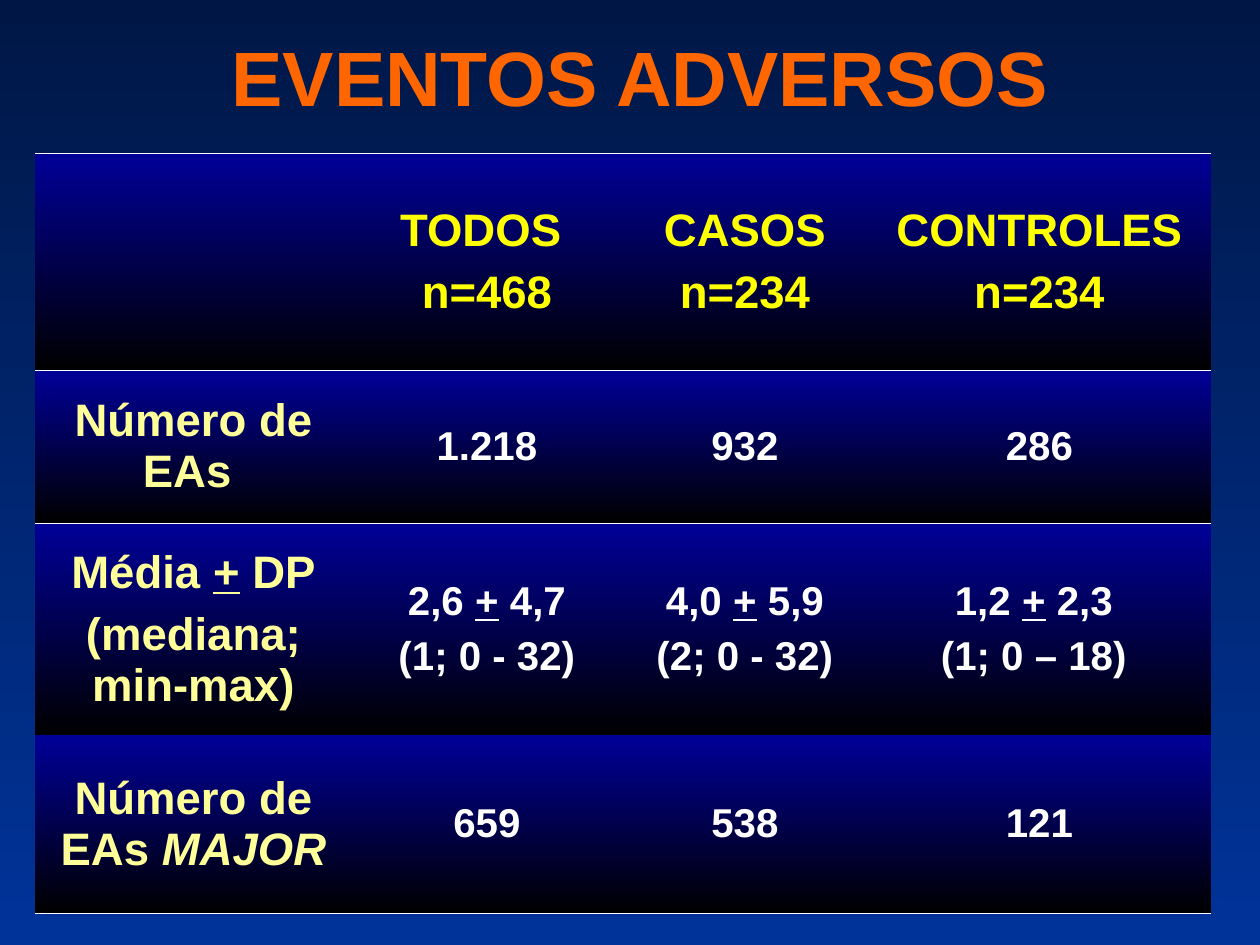
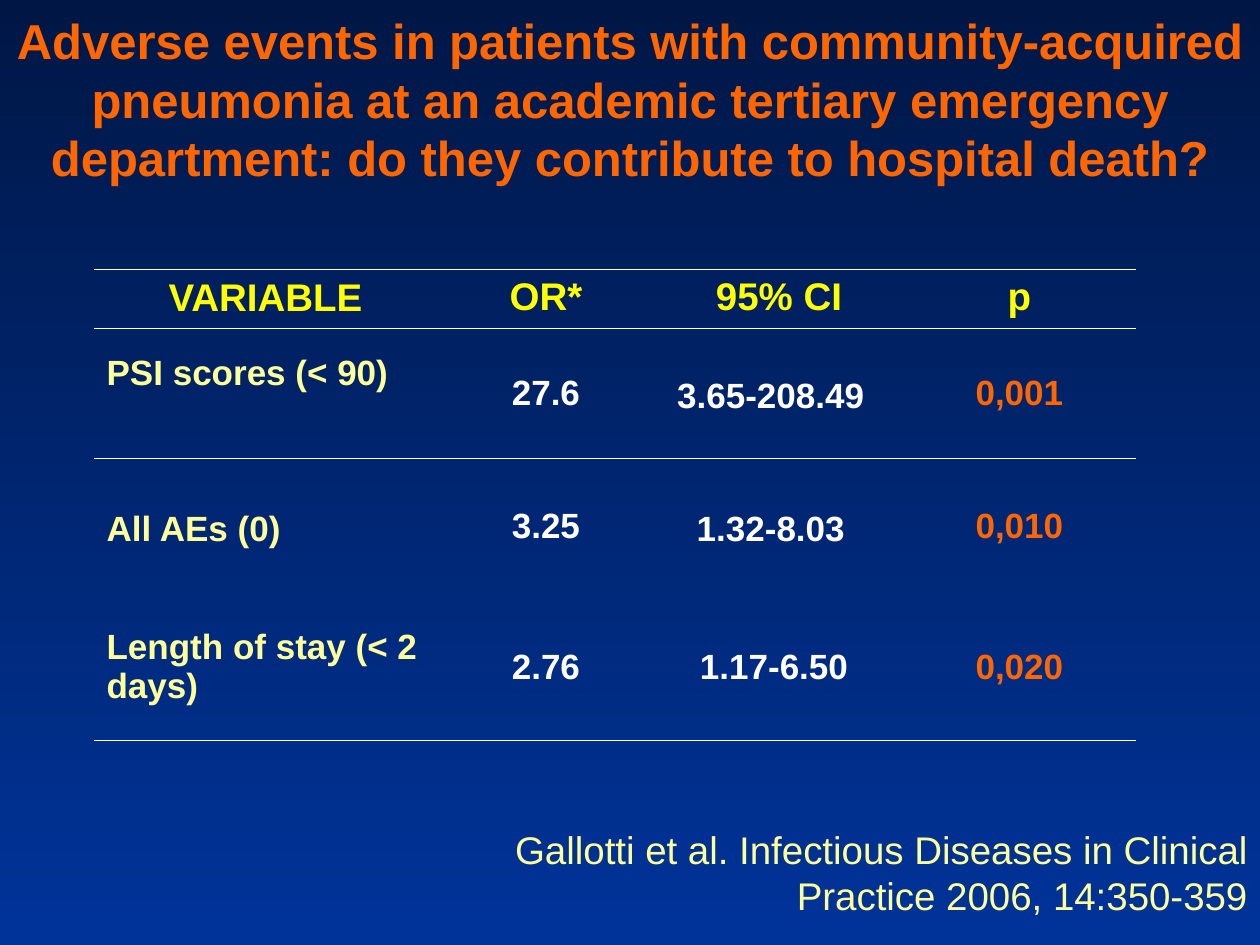
import pptx
import pptx.util
import pptx.dml.color
import pptx.enum.text
import pptx.oxml
import pptx.oxml.ns
from dataclasses import dataclass

ALIGN = pptx.enum.text.PP_ALIGN
ANCHOR = pptx.enum.text.MSO_ANCHOR
PLAIN = "{2D5ABB26-0587-4C30-8999-92F81FD0307C}"


@dataclass(frozen=True)
class Theme:
    font: str = "Arial"
    alt: str = "Comic Neue"
    night: str = "001746"
    blue: str = "003399"
    navy: str = "000099"
    black: str = "000000"
    white: str = "FFFFFF"
    orange: str = "FF6600"
    yellow: str = "FFFF00"
    cream: str = "FFFF99"
    banner: int = 44
    title: int = 28
    label: int = 26
    value: int = 23
    head: int = 22
    small: int = 20
    rule: float = 0.45


def px(count):
    return round(count * 914400 / 126)


def rgb(code):
    return pptx.dml.color.RGBColor.from_string(code)


class Deck:
    def __init__(self, theme):
        self.theme = theme
        self.show = pptx.Presentation()
        self.show.slide_width = px(1260)
        self.show.slide_height = px(945)
        self.slide = None

    def page(self):
        self.slide = self.show.slides.add_slide(self.show.slide_layouts[6])
        self.fade(self.slide.background.fill, self.theme.night, self.theme.blue)

    def fade(self, fill, top, base):
        fill.gradient()
        fill.gradient_angle = 270
        for stop, code in zip(fill.gradient_stops, (top, base)):
            stop.color.rgb = rgb(code)

    def lines(self, frame, paras, size, color, align=ALIGN.CENTER, bold=True):
        for index, runs in enumerate(paras):
            para = frame.add_paragraph() if index else frame.paragraphs[0]
            para.alignment = align
            if index:
                para.space_before = pptx.util.Pt(size / 4)
            font = para.font
            font.name = self.theme.font
            font.size = pptx.util.Pt(size)
            font.bold = bold
            font.color.rgb = rgb(color)
            for part in [runs] if isinstance(runs, str) else runs:
                text, style = (part, "") if isinstance(part, str) else part
                run = para.add_run()
                run.text = text
                if style == "under":
                    run.font.underline = True
                elif style == "slant":
                    run.font.italic = True
                elif style == "tall":
                    run.font.name = self.theme.alt
                    run.font.size = pptx.util.Pt(self.theme.title)
                    run.font.bold = False

    def text(self, box, words, size, color, anchor=ANCHOR.MIDDLE, **style):
        frame = self.slide.shapes.add_textbox(*map(px, box)).text_frame
        frame.word_wrap = True
        frame.vertical_anchor = anchor
        self.lines(frame, [words], size, color, **style)

    def title(self, box, words, size):
        self.text(box, words, size, self.theme.orange)

    def table(self, left, top, cols, rows, cells, look, shade=False):
        grid = self.slide.shapes.add_table(
            len(rows), len(cols), px(left), px(top), px(sum(cols)), px(sum(rows))
        ).table
        grid.first_row = grid.horz_banding = False
        grid._tbl.tblPr.find(pptx.oxml.ns.qn("a:tableStyleId")).text = PLAIN
        for col, width in zip(grid.columns, cols):
            col.width = px(width)
        for row, height in zip(grid.rows, rows):
            row.height = px(height)
        last = len(rows) - 1
        for r, line in enumerate(cells):
            for c, paras in enumerate(line):
                cell = grid.cell(r, c)
                cell.vertical_anchor = ANCHOR.MIDDLE
                if shade:
                    self.fade(cell.fill, self.theme.navy, self.theme.black)
                else:
                    cell.fill.background()
                sides = ["lnT"] * (r < 2) + ["lnB"] * (r in (0, last))
                self.edge(cell, sides)
                self.lines(cell.text_frame, paras, **look(r, c))
        return grid

    def edge(self, cell, sides):
        width = pptx.util.Pt(self.theme.rule)
        for spot, side in enumerate(sides):
            cell._tc.get_or_add_tcPr().insert(spot, pptx.oxml.parse_xml(
                f'<a:{side} {pptx.oxml.ns.nsdecls("a")} w="{width}"><a:solidFill>'
                f'<a:srgbClr val="{self.theme.white}"/></a:solidFill></a:{side}>'
            ))


def mean(mid, dev):
    return [f"{mid} ", ("+", "under"), f" {dev}"]


def events(deck):
    theme = deck.theme

    def look(r, c):
        if r == 0:
            return dict(size=theme.label, color=theme.yellow)
        if c == 0:
            return dict(size=theme.label, color=theme.cream)
        return dict(size=theme.value, color=theme.white)

    deck.page()
    deck.title((105, -21, 1071, 194), "EVENTOS ADVERSOS", theme.banner)
    cells = [
        [[], ["TODOS ", "n=468"], ["CASOS", "n=234"], ["CONTROLES", "n=234"]],
        [["Número de EAs "], ["1.218"], ["932"], ["286"]],
        [
            [mean("Média", "DP"), "(mediana; min-max)"],
            [mean("2,6", "4,7"), "(1; 0 - 32)"],
            [mean("4,0", "5,9"), "(2; 0 - 32)"],
            [mean("1,2", "2,3 "), "(1; 0 – 18) "],
        ],
        [[["Número de EAs ", ("MAJOR", "slant")]], ["659"], ["538"], ["121"]],
    ]
    deck.table(35, 153, (317, 270, 246, 343), (217, 153, 212, 178),
               cells, look, shade=True)


def risks(deck):
    theme = deck.theme
    gap = (" ", "tall")

    def look(r, c):
        if r == 0:
            return dict(size=theme.head, color=theme.yellow)
        color = (theme.cream, theme.white, theme.white, theme.orange)[c]
        align = ALIGN.CENTER if c else ALIGN.LEFT
        return dict(size=theme.small, color=color, align=align)

    deck.page()
    deck.title(
        (-42, 20, 1344, 157),
        "Adverse events in patients with community-acquired pneumonia at an "
        "academic tertiary emergency department: do they contribute to "
        "hospital death?",
        theme.title,
    )
    cells = [
        [["VARIABLE"], ["OR*"], ["95% CI"], ["p"]],
        [["PSI scores (< 90)"], ["27.6"], [["3.65-208.49", gap]], ["0,001"]],
        [[["All AEs (0)", gap]], ["3.25"], [["1.32-8.03", gap]], ["0,010"]],
        [["Length of stay (< 2 days)"], ["2.76"], ["1.17-6.50 "], ["0,020"]],
    ]
    grid = deck.table(94, 269, (343, 218, 248, 233), (59, 130, 136, 146),
                      cells, look)
    for c in (1, 2, 3):
        grid.cell(0, c).vertical_anchor = ANCHOR.TOP
    grid.cell(1, 0).margin_bottom = px(45)
    deck.text(
        (382, 820, 878, 106),
        "Gallotti et al. Infectious Diseases in Clinical Practice 2006, 14:350-359",
        theme.head, theme.cream, ANCHOR.TOP, align=ALIGN.RIGHT, bold=False,
    )


def main():
    deck = Deck(Theme())
    events(deck)
    risks(deck)
    deck.show.save("out.pptx")


if __name__ == "__main__":
    main()
